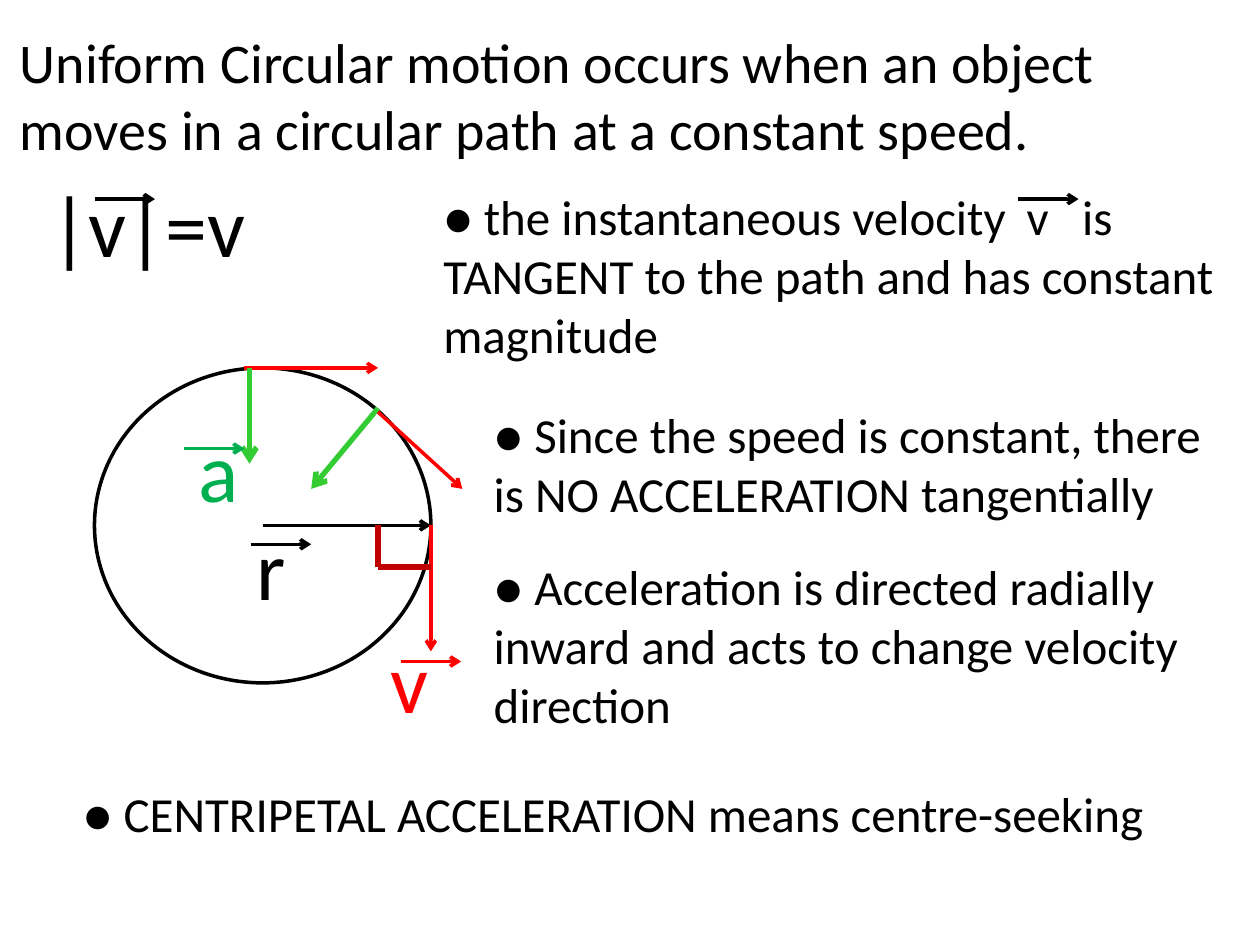
from dataclasses import dataclass

from lxml.etree import SubElement
from pptx import Presentation
from pptx.dml.color import RGBColor
from pptx.enum.shapes import MSO_CONNECTOR, MSO_SHAPE
from pptx.oxml.ns import qn
from pptx.util import Inches, Pt


@dataclass(frozen=True)
class Theme:
    font: str = "Calibri"
    black: str = "000000"
    red: str = "FF0000"
    dark: str = "C00000"
    lime: str = "33CC33"
    green: str = "00B050"
    title: int = 32
    body: int = 28
    symbol: int = 48
    thin: int = 2
    thick: int = 3


class Board:
    def __init__(self, slide, theme):
        self.slide = slide
        self.theme = theme

    def text(self, left, top, width, height, lines, size, color=None, tabs=()):
        """Add a box with one paragraph per line; tabs are stops for the first."""
        box = self.slide.shapes.add_textbox(
            Inches(left), Inches(top), Inches(width), Inches(height))
        frame = box.text_frame
        frame.word_wrap = True
        for i, line in enumerate(lines):
            para = frame.paragraphs[0] if i == 0 else frame.add_paragraph()
            if tabs and i == 0:
                stops = SubElement(para._p.get_or_add_pPr(), qn("a:tabLst"))
                for stop in tabs:
                    SubElement(stops, qn("a:tab"), pos=str(Inches(stop)), algn="l")
            run = para.add_run()
            run.text = line
            run.font.name = self.theme.font
            run.font.size = Pt(size)
            run.font.color.rgb = RGBColor.from_string(color or self.theme.black)

    def circle(self, left, top, width, height):
        shape = self.slide.shapes.add_shape(
            MSO_SHAPE.OVAL, Inches(left), Inches(top), Inches(width), Inches(height))
        shape.shadow.inherit = False
        shape.fill.background()
        shape.line.color.rgb = RGBColor.from_string(self.theme.black)
        shape.line.width = Pt(self.theme.thin)

    def line(self, start, end, color, weight, arrow=True):
        link = self.slide.shapes.add_connector(
            MSO_CONNECTOR.STRAIGHT, *map(Inches, start + end))
        link.line.color.rgb = RGBColor.from_string(color)
        link.line.width = Pt(weight)
        if arrow:
            SubElement(link.line._get_or_add_ln(), qn("a:tailEnd"), type="arrow")
        SubElement(link._element.spPr, qn("a:effectLst"))

    def hat(self, left, top, color):
        """Draw the short vector arrow above a symbol."""
        self.line((left, top), (left + 0.48, top), color, self.theme.thin)


def main():
    deck = Presentation()
    deck.slide_width, deck.slide_height = Inches(10), Inches(7.5)
    theme = Theme()
    board = Board(deck.slides.add_slide(deck.slide_layouts[6]), theme)

    board.text(0.06, 0.17, 9.52, 1.18,
               ["Uniform Circular motion occurs when an object "
                "moves in a circular path at a constant speed."], theme.title)

    # Circular path with its radius, velocities and accelerations
    left, top, width, height = 0.75, 2.92, 2.67, 2.5
    right, mid = left + width, top + height / 2
    board.circle(left, top, width, height)
    for start, end, color, weight in (
        ((left + width / 2, mid), (right, mid), theme.black, theme.thin),
        ((1.94, top), (3, top), theme.red, theme.thin),
        ((right, mid), (right, mid + 1), theme.red, theme.thin),
        ((1.98, top), (1.98, 3.68), theme.lime, theme.thick),
        ((3, 3.24), (2.47, 3.88), theme.lime, theme.thick),
        ((3, 3.27), (3.67, 3.88), theme.red, theme.thin),
    ):
        board.line(start, end, color, weight)

    # Right angle between radius and velocity
    corner = (3, 4.5)
    board.line((3, mid), corner, theme.dark, theme.thick, arrow=False)
    board.line(corner, (right, 4.5), theme.dark, theme.thick, arrow=False)

    # Symbols, each with the place of its vector arrow
    for sign, x, y, wide, hat, color in (
        ("|v|=v", 0.3, 1.33, 1.89, (0.75, 1.58), theme.black),
        ("r", 1.94, 4.05, 0.91, (1.99, 4.32), theme.black),
        ("a", 1.48, 3.27, 0.91, (1.46, 3.56), theme.green),
        ("v", 3, 4.95, 0.91, (3.18, 5.25), theme.red),
    ):
        board.text(x, y, wide, 0.91, [sign], theme.symbol, color)
        board.hat(*hat, color)

    for x, y, wide, high, lines, tabs in (
        (3.42, 1.43, 6.33, 1.51,
         ["● the instantaneous velocity\tv\tis",
          "TANGENT to the path and has constant magnitude"], (4.63, 5.07)),
        (3.82, 3.16, 6.33, 1.04,
         ["● Since the speed is constant, there",
          "is NO ACCELERATION tangentially"], ()),
        (3.82, 4.37, 6.33, 1.51,
         ["● Acceleration is directed radially inward "
          "and acts to change velocity direction"], ()),
        (0.56, 6.17, 9.01, 0.57,
         ["● CENTRIPETAL ACCELERATION means centre-seeking"], ()),
    ):
        board.text(x, y, wide, high, lines, theme.body, tabs=tabs)
    board.hat(8.08, 1.58, theme.black)

    deck.save("out.pptx")


if __name__ == "__main__":
    main()
